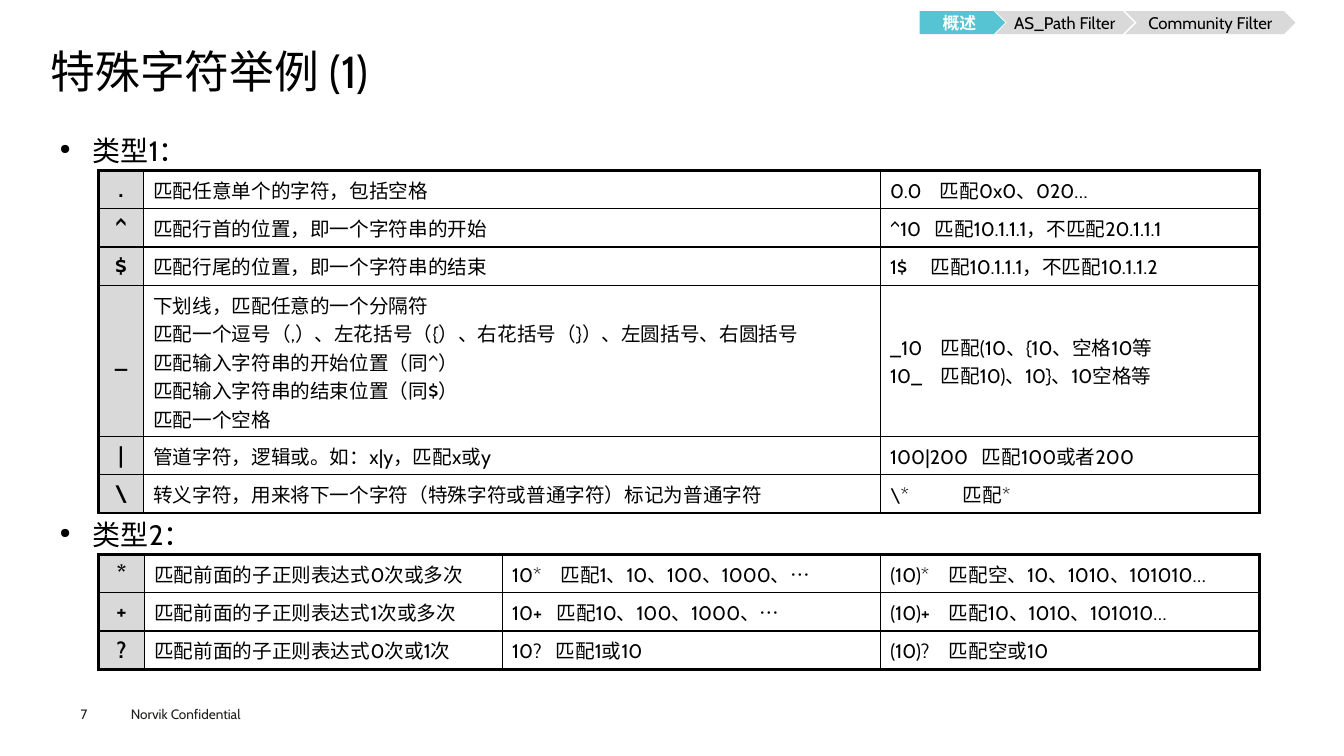
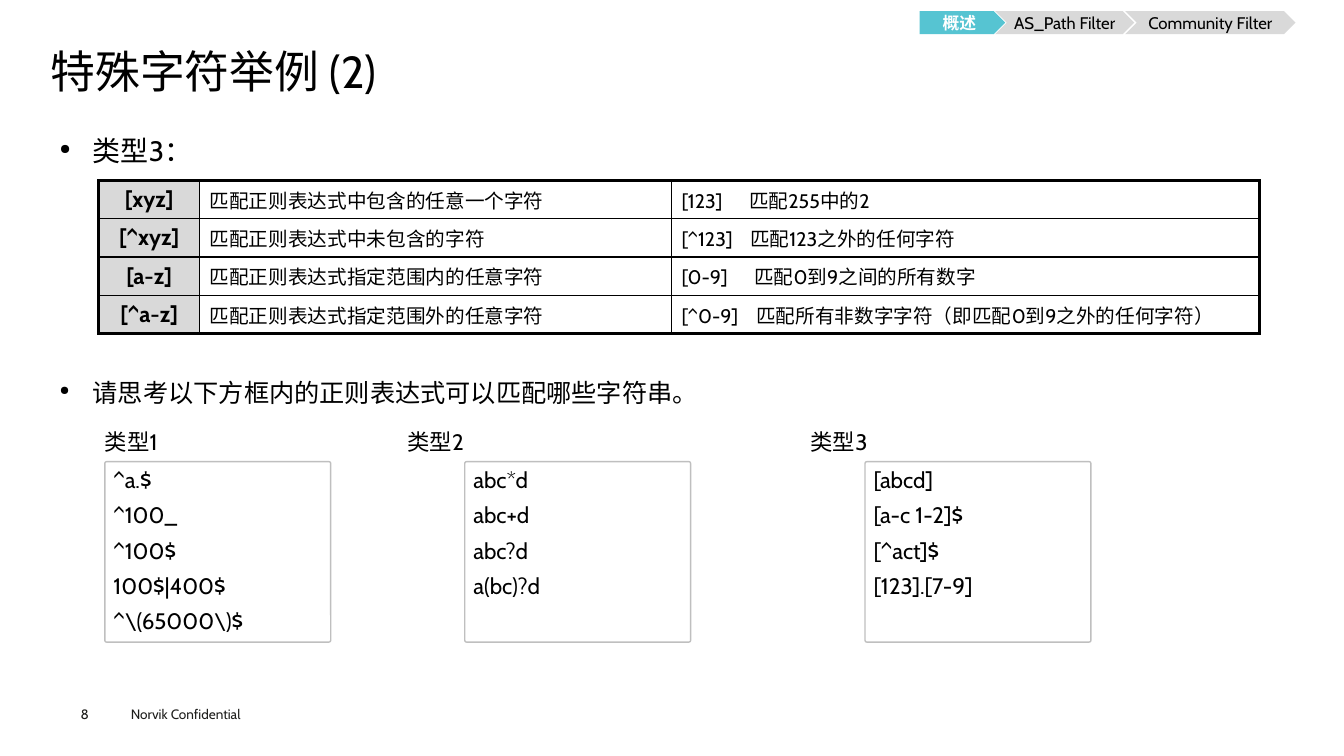
from lxml import etree
from pptx import Presentation
from pptx.dml.color import RGBColor
from pptx.enum.shapes import MSO_SHAPE
from pptx.enum.text import MSO_ANCHOR, PP_ALIGN
from pptx.oxml.ns import qn
from pptx.util import Inches, Pt

PLATE, CHEVRON, ROUND = MSO_SHAPE.PENTAGON, MSO_SHAPE.CHEVRON, MSO_SHAPE.ROUNDED_RECTANGLE
TOP, MIDDLE = MSO_ANCHOR.TOP, MSO_ANCHOR.MIDDLE
LEFT, CENTER, JUSTIFY = PP_ALIGN.LEFT, PP_ALIGN.CENTER, PP_ALIGN.JUSTIFY

FONT = "Cabin"
BLACK, WHITE, INK = "000000", "FFFFFF", "1D1D1B"
GREY, RULE, TEAL = "D9D9D9", "BFBFBF", "56C4D2"
rgb = RGBColor.from_string


def tag(parent, name, **attrs):
    return etree.SubElement(parent, qn(name), attrs)


def put(frame, text, size=14, color=BLACK, bold=False, align=LEFT, inset=None,
        anchor=TOP, line=None, after=None, bullet=False, stop=None):
    if inset is not None:
        frame.word_wrap = True
        frame.vertical_anchor = anchor
        frame.margin_left = frame.margin_right = Inches(inset[0])
        frame.margin_top = frame.margin_bottom = Inches(inset[1])
    for i, words in enumerate(text.split("\n")):
        para = frame.add_paragraph() if i else frame.paragraphs[0]
        para.alignment = align
        props = para._p.get_or_add_pPr()
        if bullet:
            props.set("marL", str(Inches(0.33)))
            props.set("indent", str(Inches(-0.33)))
            tag(props, "a:buSzPct", val="50000")
            tag(props, "a:buChar", char="●")
        if stop:
            tag(tag(props, "a:tabLst"), "a:tab", pos=str(Inches(stop)), algn="l")
        if line:
            para.line_spacing = line
        if after:
            para.space_after = Pt(after)
        run = para.add_run()
        run.text = words
        run.font.name, run.font.size, run.font.bold = FONT, Pt(size), bold
        run.font.color.rgb = rgb(color)


# Shared navigation: shape, left, width, label, fill, text colour, bold
STEPS = [
    (PLATE, 9.12, 0.85, "概述", TEAL, WHITE, True),
    (CHEVRON, 9.87, 1.38, "AS_Path Filter", GREY, BLACK, False),
    (CHEVRON, 11.16, 1.69, "Community Filter", GREY, BLACK, False),
]

# Tables: top, column widths, rows; an example is (tab stop, text)
TYPE1 = (1.69, [0.44, 7.31, 3.76], [
    (".", "匹配任意单个的字符，包括空格", (0.49, "0.0\t匹配0x0、020…")),
    ("^", "匹配行首的位置，即一个字符串的开始", (0.44, "^10\t匹配10.1.1.1，不匹配20.1.1.1")),
    ("$", "匹配行尾的位置，即一个字符串的结束", (0.4, "1$\t匹配10.1.1.1，不匹配10.1.1.2")),
    ("_", "下划线，匹配任意的一个分隔符\n"
          "匹配一个逗号（,）、左花括号（{）、右花括号（}）、左圆括号、右圆括号\n"
          "匹配输入字符串的开始位置（同^）\n"
          "匹配输入字符串的结束位置（同$）\n"
          "匹配一个空格",
     (0.5, "_10\t匹配(10、{10、空格10等\n10_\t匹配10)、10}、10空格等")),
    ("|", "管道字符，逻辑或。如：x|y，匹配x或y", (0.91, "100|200\t匹配100或者200")),
    ("\\", "转义字符，用来将下一个字符（特殊字符或普通字符）标记为普通字符", (0.72, "\\*\t匹配*")),
])
TYPE2 = (5.5, [0.45, 3.55, 3.75, 3.76], [
    ("*", "匹配前面的子正则表达式0次或多次",
     (0.48, "10*\t匹配1、10、100、1000、…"), (0.58, "(10)*\t匹配空、10、1010、101010…")),
    ("+", "匹配前面的子正则表达式1次或多次",
     (0.44, "10+\t匹配10、100、1000、…"), (0.58, "(10)+\t匹配10、1010、101010…")),
    ("?", "匹配前面的子正则表达式0次或1次",
     (0.43, "10?\t匹配1或10"), (0.58, "(10)?\t匹配空或10")),
])
TYPE3 = (1.79, [1, 4.68, 5.83], [
    ("[xyz]", "匹配正则表达式中包含的任意一个字符", (0.67, "[123]\t匹配255中的2")),
    ("[^xyz]", "匹配正则表达式中未包含的字符", (0.68, "[^123]\t匹配123之外的任何字符")),
    ("[a-z]", "匹配正则表达式指定范围内的任意字符", (0.72, "[0-9]\t匹配0到9之间的所有数字")),
    ("[^a-z]", "匹配正则表达式指定范围外的任意字符",
     (0.74, "[^0-9]\t匹配所有非数字字符（即匹配0到9之外的任何字符）")),
])

# Exercise cards: label, label left, card left, patterns
CARDS = [
    ("类型1", 1.04, 1.04, "^a.$\n^100_\n^100$\n100$|400$\n^\\(65000\\)$"),
    ("类型2", 4.04, 4.61, "abc*d\nabc+d\nabc?d\na(bc)?d"),
    ("类型3", 8.04, 8.58, "[abcd]\n[a-c 1-2]$\n[^act]$\n[123].[7-9]"),
]

# Pages: number, title, bullets (top, size, text), tables, cards
PAGES = [
    ("7", "特殊字符举例 (1)", [(1.15, 20, "类型1："), (4.96, 20, "类型2：")], [TYPE1, TYPE2], []),
    ("8", "特殊字符举例 (2)",
     [(1.15, 20, "类型3："), (3.58, 18, "请思考以下方框内的正则表达式可以匹配哪些字符串。")],
     [TYPE3], CARDS),
]

deck = Presentation()
deck.slide_width, deck.slide_height = Inches(13.33), Inches(7.5)

for number, title, points, tables, cards in PAGES:
    shapes = deck.slides.add_slide(deck.slide_layouts[6]).shapes

    # Title, bullets, footer and card labels
    texts = [
        (0.5, 0.49, 12.35, 0.53, title, dict(size=32, line=0.9, inset=(0, 0))),
        (1.2, 6.95, 1.6, 0.27, "Norvik Confidential",
         dict(size=9.7, color=INK, inset=(0.1, 0.05))),
        (0.8, 7, 0.55, 0.16, number, dict(size=9.7, color=INK, inset=(0, 0))),
    ]
    for top, size, words in points:
        texts.append((0.5, top, 12.35, 0.5, words, dict(
            size=size, align=JUSTIFY, line=1.4, bullet=True, inset=(0.09, 0.04))))
    for label, left, _, _ in cards:
        texts.append((left, 4.2, 1.5, 0.37, label,
                      dict(size=16, inset=(0, 0), anchor=MIDDLE)))
    for *place, words, form in texts:
        box = shapes.add_textbox(*map(Inches, place))
        put(box.text_frame, words, **form)

    # Tables: heavy frame, thin inner lines, grey first column
    for top, widths, rows in tables:
        grid = shapes.add_table(len(rows), len(widths), Inches(0.98), Inches(top),
                                Inches(sum(widths)), Inches(0.38 * len(rows))).table
        grid.first_row = grid.horz_banding = False
        for col, width in zip(grid.columns, widths):
            col.width = Inches(width)
        for r, row in enumerate(rows):
            count = max(len(item[-1].split("\n")) if isinstance(item, tuple)
                        else len(item.split("\n")) for item in row)
            grid.rows[r].height = Inches(0.38 if count == 1 else 0.1 + 0.28 * count)
            for c, item in enumerate(row):
                cell = grid.cell(r, c)
                cell.vertical_anchor = MIDDLE
                edges = {"L": c == 0, "R": c == len(row) - 1,
                         "T": r == 0, "B": r == len(rows) - 1}
                for side, outer in edges.items():
                    edge = tag(cell._tc.get_or_add_tcPr(), "a:ln" + side,
                               w=str(Pt(2.25 if outer else 1)))
                    tag(tag(edge, "a:solidFill"), "a:srgbClr", val=BLACK)
                if c == 0:
                    cell.fill.solid()
                    cell.fill.fore_color.rgb = rgb(GREY)
                    put(cell.text_frame, item, size=16, bold=True, align=CENTER)
                else:
                    cell.fill.background()
                    stop, words = item if isinstance(item, tuple) else (None, item)
                    put(cell.text_frame, words, align=JUSTIFY, stop=stop)

    # Exercise cards
    for _, _, left, words in cards:
        card = shapes.add_shape(ROUND, Inches(left), Inches(4.58), Inches(2.24), Inches(1.79))
        card.adjustments[0] = 0.01
        card.shadow.inherit = False
        card.fill.background()
        card.line.color.rgb, card.line.width = rgb(RULE), Pt(1)
        put(card.text_frame, words, size=16, align=JUSTIFY, after=6, inset=(0.08, 0.04))

    # Navigation steps
    for kind, left, width, words, fill, color, bold in STEPS:
        step = shapes.add_shape(kind, Inches(left), Inches(0.11), Inches(width), Inches(0.23))
        step.shadow.inherit = False
        step.fill.solid()
        step.fill.fore_color.rgb = rgb(fill)
        step.line.fill.background()
        put(step.text_frame, words, size=12, color=color, bold=bold, align=CENTER,
            inset=(0, 0), anchor=MIDDLE)

deck.save("out.pptx")
